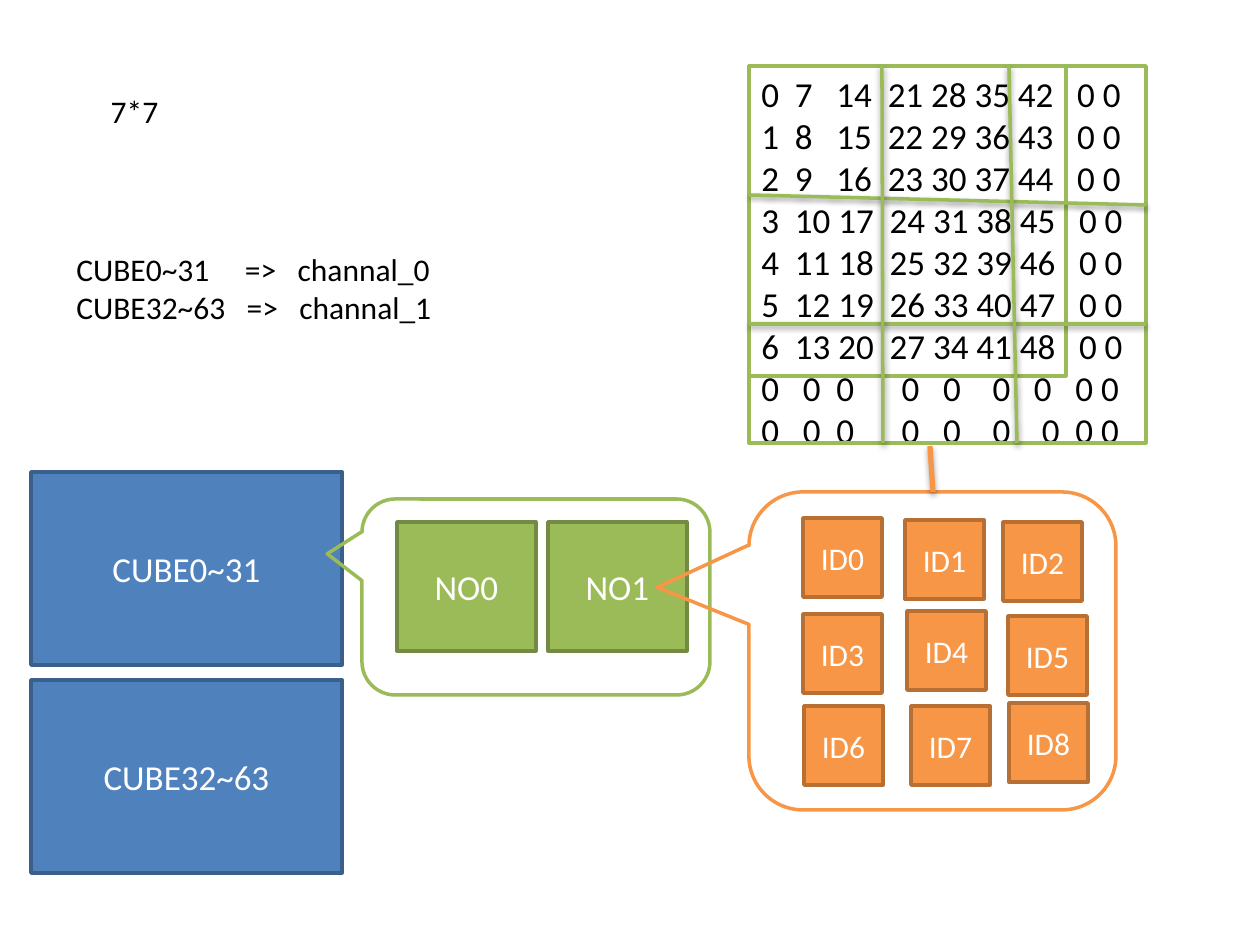
from dataclasses import dataclass

from lxml.etree import SubElement
from pptx import Presentation
from pptx.dml.color import RGBColor
from pptx.enum.shapes import MSO_CONNECTOR as Connector, MSO_SHAPE as Preset
from pptx.enum.text import MSO_ANCHOR as Anchor, PP_ALIGN as Align
from pptx.oxml.ns import qn
from pptx.util import Emu, Pt

PIXEL = 914400 // 126
BLUE, BLUE_EDGE = "4F81BD", "3A5F8C"
GREEN, GREEN_EDGE = "9BBB59", "738A42"
ORANGE, ORANGE_EDGE = "F79646", "B76F34"
BLACK, WHITE = "000000", "FFFFFF"


@dataclass
class Tile:
    """A filled, labelled box."""
    label: str
    left: int
    top: int
    width: int
    height: int
    fill: str
    edge: str
    size: int = 20


@dataclass
class Outline:
    """An unfilled shape with its adjustments."""
    preset: Preset
    left: int
    top: int
    width: int
    height: int
    edge: str
    adjustments: tuple[float, ...] = ()


@dataclass
class Rule:
    """A straight line with a soft shadow."""
    start: tuple[int, int]
    end: tuple[int, int]
    colour: str = GREEN
    weight: int = 2
    shadow_distance: int = 20000
    shadow_alpha: int = 38000


def px(*lengths: int) -> list[Emu]:
    """Turn pixels into EMU."""
    return [Emu(length * PIXEL) for length in lengths]


def colour(code: str) -> RGBColor:
    """Turn a hex string into a colour."""
    return RGBColor.from_string(code)


def write(shape, text: str, size: int, code: str, align: Align) -> None:
    """Set the text of a shape and format every run."""
    shape.text_frame.text = text
    for para in shape.text_frame.paragraphs:
        para.alignment = align
        for span in para.runs:
            span.font.name = "Calibri"
            span.font.size = Pt(size)
            span.font.color.rgb = colour(code)


def add_note(page, text: str, frame: tuple[int, ...], size: int,
             align: Align = Align.LEFT, wrap: bool = True) -> None:
    """Add a plain text box."""
    box = page.shapes.add_textbox(*px(*frame))
    box.text_frame.word_wrap = wrap
    write(box, text, size, BLACK, align)


def add_tile(page, tile: Tile) -> None:
    """Add a filled box with a centred label."""
    box = page.shapes.add_shape(
        Preset.RECTANGLE, *px(tile.left, tile.top, tile.width, tile.height))
    box.shadow.inherit = False
    box.fill.solid()
    box.fill.fore_color.rgb = colour(tile.fill)
    box.line.color.rgb = colour(tile.edge)
    box.line.width = Pt(2)
    box.text_frame.vertical_anchor = Anchor.MIDDLE
    write(box, tile.label, tile.size, WHITE, Align.CENTER)


def add_outline(page, outline: Outline) -> None:
    """Add a shape that has only a line."""
    shape = page.shapes.add_shape(
        outline.preset,
        *px(outline.left, outline.top, outline.width, outline.height))
    shape.shadow.inherit = False
    shape.fill.background()
    shape.line.color.rgb = colour(outline.edge)
    shape.line.width = Pt(2)
    for index, value in enumerate(outline.adjustments):
        shape.adjustments[index] = value


def add_rule(page, rule: Rule) -> None:
    """Add a line and the shadow below it."""
    line = page.shapes.add_connector(
        Connector.STRAIGHT, *px(*rule.start, *rule.end))
    line.line.color.rgb = colour(rule.colour)
    line.line.width = Pt(rule.weight)
    effects = SubElement(line._element.spPr, qn("a:effectLst"))
    shadow = SubElement(effects, qn("a:outerShdw"), blurRad="40000",
                        dist=str(rule.shadow_distance), dir="5400000",
                        rotWithShape="0")
    black = SubElement(shadow, qn("a:srgbClr"), val=BLACK)
    SubElement(black, qn("a:alpha"), val=str(rule.shadow_alpha))


CUBES = [Tile(label, 31, top, 311, 193, BLUE, BLUE_EDGE)
         for label, top in (("CUBE0~31", 472), ("CUBE32~63", 680))]
NUMBERS = [Tile(f"NO{index}", 397 + 151 * index, 522, 139, 129,
                GREEN, GREEN_EDGE) for index in range(2)]
ID_CORNERS = [(803, 518), (905, 520), (1003, 522),
              (803, 614), (907, 611), (1008, 616),
              (804, 706), (911, 706), (1009, 703)]
IDS = [Tile(f"ID{index}", left, top, 79, 79, ORANGE, ORANGE_EDGE, 18)
       for index, (left, top) in enumerate(ID_CORNERS)]
CUBE_CALLOUT = Outline(Preset.ROUNDED_RECTANGULAR_CALLOUT, 362, 499, 348, 196,
                       GREEN, (-0.6, -0.22, 0.17))
NUMBER_CALLOUT = Outline(Preset.ROUNDED_RECTANGULAR_CALLOUT, 749, 492, 367, 318,
                         ORANGE, (-0.75, -0.2, 0.17))
MATRIX_FRAMES = [Outline(Preset.RECTANGLE, 749, 66, width, height, GREEN)
                 for width, height in ((397, 377), (317, 310))]
RULES = [
    Rule((749, 195), (1146, 205)),
    Rule((749, 324), (1146, 324)),
    Rule((882, 66), (883, 443)),
    Rule((1009, 66), (1017, 443)),
    Rule((930, 446), (933, 492), ORANGE, 3, 23000, 35000),
]
CHANNELS = "CUBE0~31     =>   channal_0\nCUBE32~63   =>   channal_1"
MATRIX = "\n".join([
    "0  7   14  21 28 35 42   0 0",
    "1  8   15  22 29 36 43   0 0",
    "2  9   16  23 30 37 44   0 0",
    "3  10 17  24 31 38 45   0 0",
    "4  11 18  25 32 39 46   0 0",
    "5  12 19  26 33 40 47   0 0",
    "6  13 20  27 34 41 48   0 0",
    "0   0  0      0   0    0   0   0 0",
    "0   0  0      0   0    0    0  0 0",
])


def main() -> None:
    """Build the slide from back to front."""
    deck = Presentation()
    deck.slide_width, deck.slide_height = px(1260, 945)
    page = deck.slides.add_slide(deck.slide_layouts[6])
    add_note(page, "7*7", (98, 86, 73, 50), 18, Align.CENTER, wrap=False)
    add_note(page, CHANNELS, (64, 244, 397, 89), 18)
    for tile in CUBES:
        add_tile(page, tile)
    add_outline(page, CUBE_CALLOUT)
    for tile in NUMBERS:
        add_tile(page, tile)
    add_outline(page, NUMBER_CALLOUT)
    for tile in IDS:
        add_tile(page, tile)
    add_note(page, MATRIX, (749, 66, 387, 394), 20)
    for frame in MATRIX_FRAMES:
        add_outline(page, frame)
    for rule in RULES:
        add_rule(page, rule)
    deck.save("out.pptx")


main()
